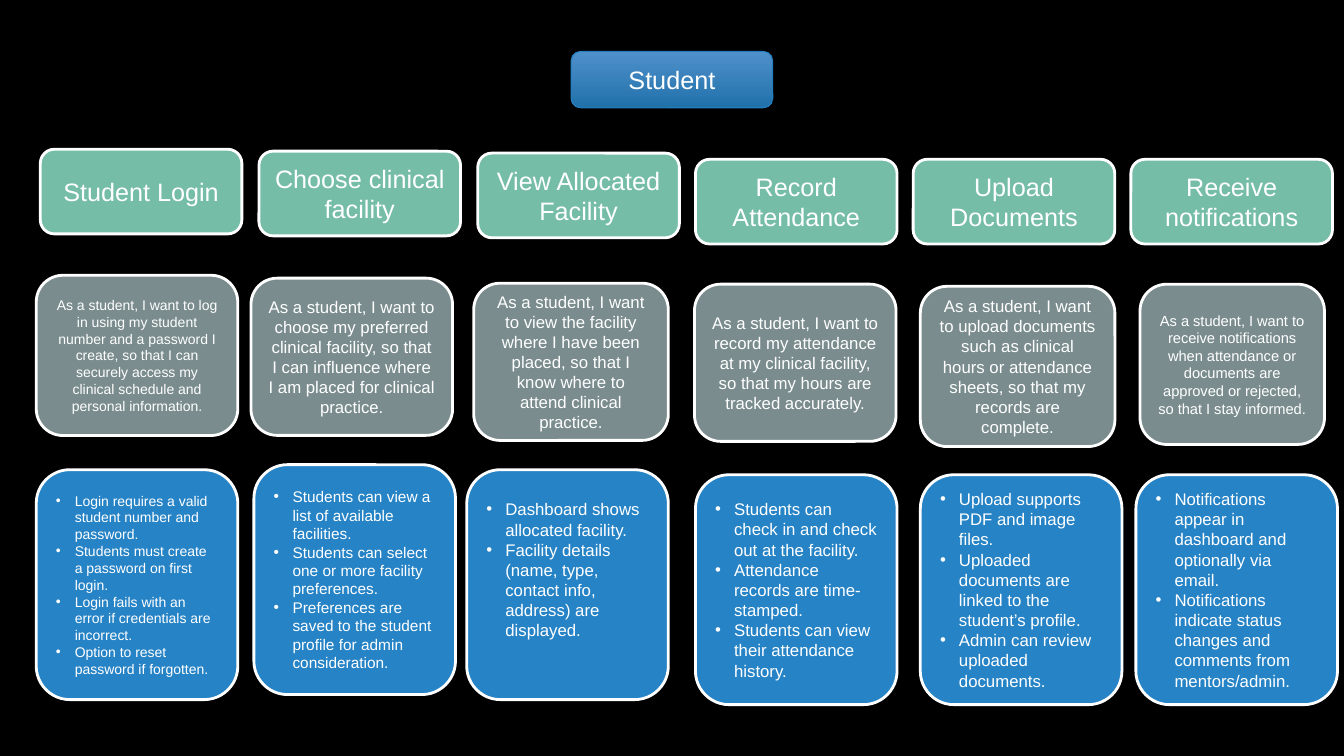
import pptx
import pptx.dml.color
import pptx.enum.shapes
import pptx.enum.text
import pptx.util
from lxml import etree

Pt = pptx.util.Pt
ALIGN = pptx.enum.text.PP_ALIGN

# Content: each card is (left, top, width, height), text size, paragraphs
ACTOR = ((408, 36.7, 144, 40.3), 18, ["Student"])
FEATURES = [
    ((28.8, 106.6, 144, 60.5), 18, ["Student Login"]),
    ((185, 108, 144, 60.5), 18, ["Choose clinical facility"]),
    ((341.3, 109.4, 144, 60.5), 18, ["View Allocated Facility"]),
    ((496.8, 113.8, 144, 60.5), 18, ["Record Attendance"]),
    ((652.3, 113.8, 144, 60.5), 18, ["Upload Documents"]),
    ((807.8, 113.8, 144, 60.5), 18, ["Receive notifications"]),
]
STORIES = [
    ((25.9, 196.6, 144, 114.5), 10, [
        "As a student, I want to log in using my student number and a password I create, "
        "so that I can securely access my clinical schedule and personal information."]),
    ((179.3, 198.7, 144, 112.3), 12, [
        "As a student, I want to choose my preferred clinical facility, "
        "so that I can influence where I am placed for clinical practice."]),
    ((338.4, 202.3, 139, 112.3), 12, [
        "As a student, I want to view the facility where I have been placed, "
        "so that I know where to attend clinical practice."]),
    ((496.1, 203, 144, 112.3), 12, [
        "As a student, I want to record my attendance at my clinical facility, "
        "so that my hours are tracked accurately."]),
    ((657.4, 204.5, 139, 114.5), 12, [
        "As a student, I want to upload documents such as clinical hours or attendance sheets, "
        "so that my records are complete."]),
    ((814.3, 203, 131.8, 114.5), 10.5, [
        "As a student, I want to receive notifications when attendance or documents "
        "are approved or rejected, so that I stay informed."]),
]
CRITERIA = [
    ((25.9, 335.5, 144, 164.2), 10, [
        "Login requires a valid student number and password.",
        "Students must create a password on first login.",
        "Login fails with an error if credentials are incorrect.",
        "Option to reset password if forgotten."]),
    ((181.4, 331.9, 144, 164.2), 11, [
        "Students can view a list of available facilities.",
        "Students can select one or more facility preferences.",
        "Preferences are saved to the student profile for admin consideration."]),
    ((333.4, 335.5, 144, 164.2), 12, [
        "Dashboard shows allocated facility.",
        "Facility details (name, type, contact info, address) are displayed."]),
    ((496.8, 339.1, 144, 164.2), 12, [
        "Students can check in and check out at the facility.",
        "Attendance records are time-stamped.",
        "Students can view their attendance history."]),
    ((657.4, 339.1, 144, 164.2), 12, [
        "Upload supports PDF and image files.",
        "Uploaded documents are linked to the student’s profile.",
        "Admin can review uploaded documents."]),
    ((811.4, 339.1, 144, 164.2), 12, [
        "Notifications appear in dashboard and optionally via email.",
        "Notifications indicate status changes and comments from mentors/admin."]),
]
# Rows of cards: fill, bulleted, cards
ROWS = [("75BDA7", False, FEATURES), ("7A8C8E", False, STORIES), ("2683C6", True, CRITERIA)]
BULLET_INDENT = 13.5
DASHBOARD_BOTTOM_INSET = 25


def color(hex_value):
    return pptx.dml.color.RGBColor.from_string(hex_value)


def set_format(target, values):
    for name, value in values.items():
        setattr(target, name, value)


def add_bullet(para):
    properties = para._p.get_or_add_pPr()
    properties.set("marL", str(Pt(BULLET_INDENT)))
    properties.set("indent", str(-Pt(BULLET_INDENT)))
    namespace = properties.nsmap["a"]
    font = etree.SubElement(properties, f"{{{namespace}}}buFont")
    font.set("typeface", "Arial")
    bullet = etree.SubElement(properties, f"{{{namespace}}}buChar")
    bullet.set("char", "•")


def add_card(page, card, fill, line, line_width, bulleted=False):
    bounds, size, lines = card
    box = page.shapes.add_shape(
        pptx.enum.shapes.MSO_SHAPE.ROUNDED_RECTANGLE, *[Pt(value) for value in bounds])
    box.shadow.inherit = False
    box.fill.solid()
    box.fill.fore_color.rgb = color(fill)
    box.line.color.rgb = color(line)
    box.line.width = Pt(line_width)
    frame = box.text_frame
    set_format(frame, {"word_wrap": True,
                       "vertical_anchor": pptx.enum.text.MSO_ANCHOR.MIDDLE})
    for index, text in enumerate(lines):
        para = frame.add_paragraph() if index else frame.paragraphs[0]
        para.alignment = ALIGN.LEFT if bulleted else ALIGN.CENTER
        if bulleted:
            add_bullet(para)
        span = para.add_run()
        span.text = text
        set_format(span.font, {"name": "Arial", "size": Pt(size)})
        span.font.color.rgb = color("FFFFFF")
    return box


# Page
deck = pptx.Presentation()
set_format(deck, {"slide_width": Pt(960), "slide_height": Pt(540)})
page = deck.slides.add_slide(deck.slide_layouts[6])
page.background.fill.solid()
page.background.fill.fore_color.rgb = color("000000")

# Actor at the top, shaded from light to dark
actor = add_card(page, ACTOR, "2171AA", "247DBD", 0.75)
actor.fill.gradient()
actor.fill.gradient_angle = 270
for stop, shade, position in zip(actor.fill.gradient_stops, ("4F90CB", "2171AA"), (0, 1)):
    stop.color.rgb = color(shade)
    stop.position = position

# Features, user stories and acceptance criteria
for fill, bulleted, cards in ROWS:
    boxes = [add_card(page, card, fill, "FFFFFF", 2, bulleted) for card in cards]

# The dashboard list sits above the middle of its card
boxes[2].text_frame.margin_bottom = Pt(DASHBOARD_BOTTOM_INSET)

deck.save("out.pptx")
